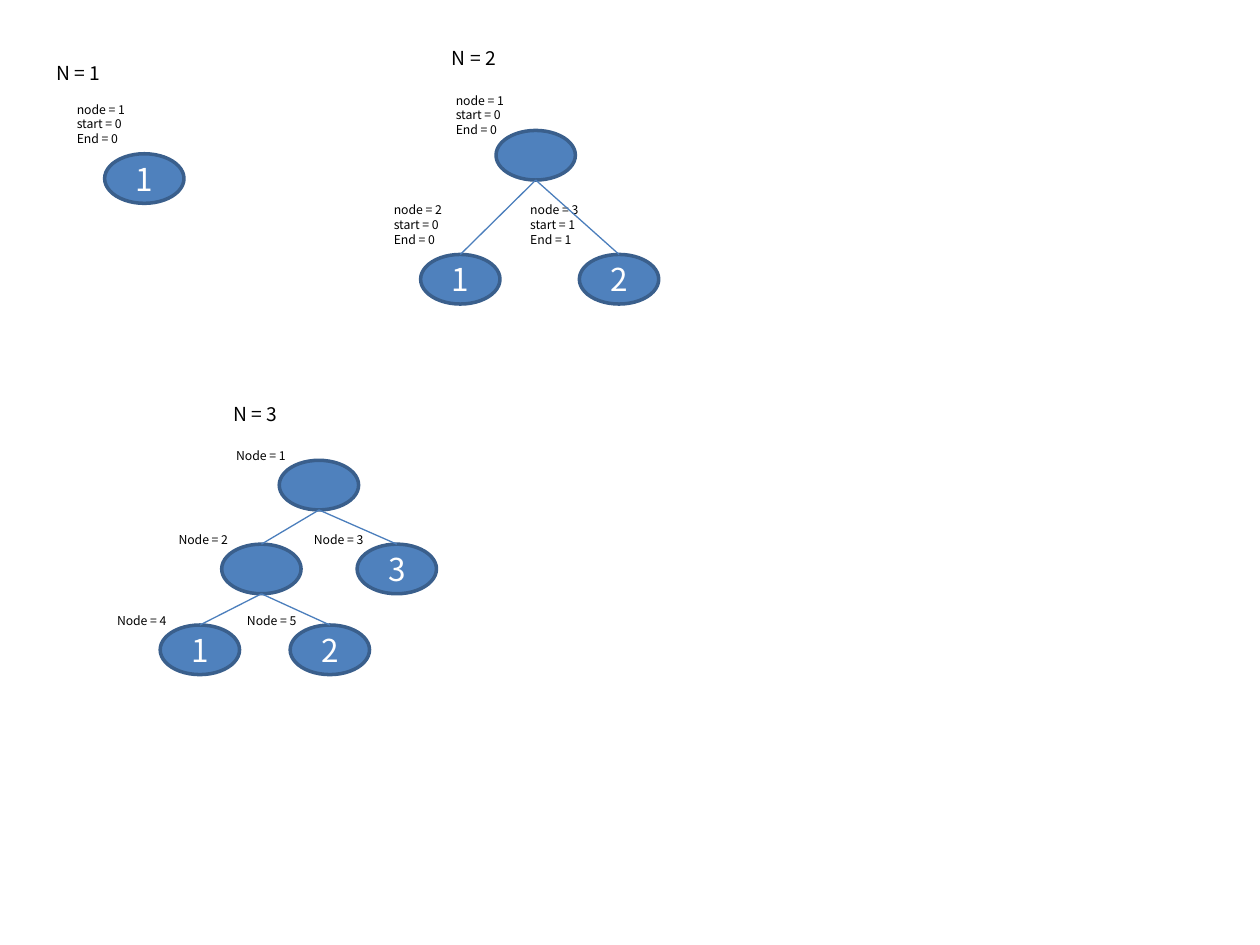
from pptx import Presentation
from pptx.dml.color import RGBColor
from pptx.enum.shapes import MSO_CONNECTOR, MSO_SHAPE
from pptx.enum.text import MSO_ANCHOR, MSO_AUTO_SIZE, PP_ALIGN
from pptx.oxml.ns import qn
from pptx.util import Cm, Pt
from lxml.etree import SubElement

BLUE = RGBColor(0x4F, 0x81, 0xBD)
OUTLINE = RGBColor(0x3A, 0x5F, 0x8C)
BRANCH = RGBColor(0x4B, 0x7E, 0xBC)
BLACK = RGBColor(0x00, 0x00, 0x00)
WHITE = RGBColor(0xFF, 0xFF, 0xFF)
FONT = "Noto Sans CJK KR"
ELLIPSE_BOTTOM = 4
SHORT_OFFSET = (-1.12, -0.36)

TITLES = [("N = 1", 0.89, 1.12), ("N = 2", 8.86, 0.81), ("N = 3", 4.45, 7.98)]

# each tree: node number -> (left, top, value, label, label offset)
TREES = [
    {1: (2.11, 3.1, "1", "node = 1\vstart = 0\nEnd = 0", (-0.81, -1.17))},
    {
        1: (10, 2.63, "", "node = 1\vstart = 0\nEnd = 0", (-1.06, -0.88)),
        2: (8.48, 5.13, "1", "node = 2\vstart = 0\nEnd = 0", (-0.79, -1.17)),
        3: (11.68, 5.13, "2", "node = 3\vstart = 1\nEnd = 1", (-1.24, -1.17)),
    },
    {
        1: (5.63, 9.28, "", "Node = 1", SHORT_OFFSET),
        2: (4.47, 10.97, "", "Node = 2", SHORT_OFFSET),
        3: (7.2, 10.97, "3", "Node = 3", SHORT_OFFSET),
        4: (3.23, 12.6, "1", "Node = 4", SHORT_OFFSET),
        5: (5.85, 12.6, "2", "Node = 5", SHORT_OFFSET),
    },
]


def write_text(frame, text, size, color):
    """Fill a text frame and format all its runs alike."""
    frame.text = text
    for paragraph in frame.paragraphs:
        for span in paragraph.runs:
            for name, value in {"name": FONT, "size": Pt(size)}.items():
                setattr(span.font, name, value)
            span.font.color.rgb = color


def add_label(page, text, left, top, width, height, size):
    """Add an unwrapped black text box."""
    box = page.shapes.add_textbox(Cm(left), Cm(top), Cm(width), Cm(height))
    write_text(box.text_frame, text, size, BLACK)
    layout = {"word_wrap": False, "auto_size": MSO_AUTO_SIZE.SHAPE_TO_FIT_TEXT}
    for name, value in layout.items():
        setattr(box.text_frame, name, value)


def add_node(page, left, top, value):
    """Add a tree node and return its ellipse."""
    node = page.shapes.add_shape(MSO_SHAPE.OVAL, Cm(left), Cm(top), Cm(1.6), Cm(1))
    node.shadow.inherit = False
    node.fill.solid()
    node.fill.fore_color.rgb = BLUE
    node.line.color.rgb = OUTLINE
    node.line.width = Pt(2)
    if value:
        write_text(node.text_frame, value, 18, WHITE)
        node.text_frame.vertical_anchor = MSO_ANCHOR.MIDDLE
        node.text_frame.paragraphs[0].alignment = PP_ALIGN.CENTER
    return node


def add_branch(page, parent, child):
    """Join the bottom of a parent to the top of its child."""
    branch = page.shapes.add_connector(MSO_CONNECTOR.STRAIGHT, 0, 0, 0, 0)
    branch.begin_connect(parent, 2)
    branch.end_connect(child, 0)
    branch._element.find(".//" + qn("a:stCxn")).set("idx", str(ELLIPSE_BOTTOM))
    branch.line.color.rgb = BRANCH
    branch.line.width = Pt(0.75)
    SubElement(branch._element.spPr, qn("a:effectLst"))


def add_tree(page, tree):
    """Add nodes with labels, joining node n to its parent n // 2."""
    nodes = {}
    for number, (left, top, value, label, (shift, rise)) in tree.items():
        nodes[number] = add_node(page, left, top, value)
        height = 0.56 if "\n" not in label else 1.14
        add_label(page, label, left + shift, top + rise, 1.6, height, 7)
        if number > 1:
            add_branch(page, nodes[number // 2], nodes[number])


def main():
    """Build the slide of segment trees for one to three elements."""
    deck = Presentation()
    deck.slide_width, deck.slide_height = Cm(25.4), Cm(19.05)
    page = deck.slides.add_slide(deck.slide_layouts[6])
    for text, left, top in TITLES:
        add_label(page, text, left, top, 1.57, 0.74, 11)
    for tree in TREES:
        add_tree(page, tree)
    deck.save("out.pptx")


if __name__ == "__main__":
    main()
